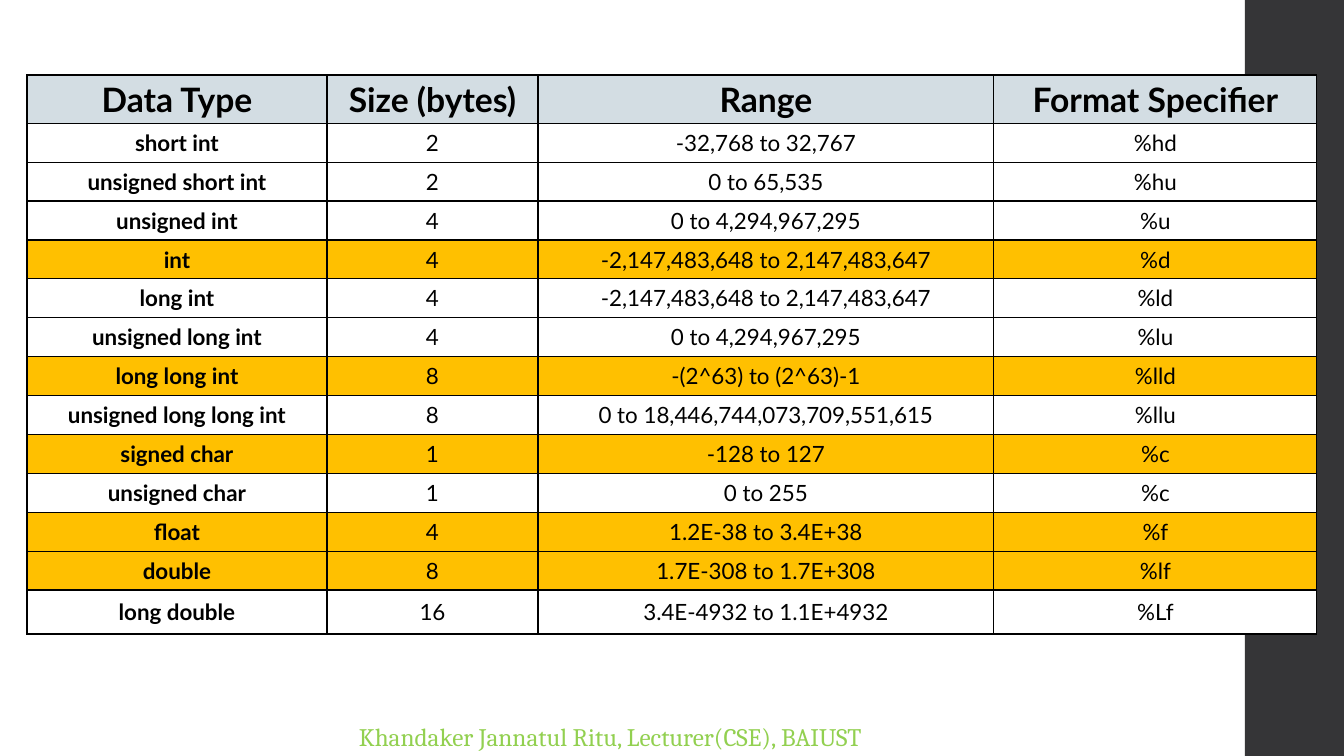
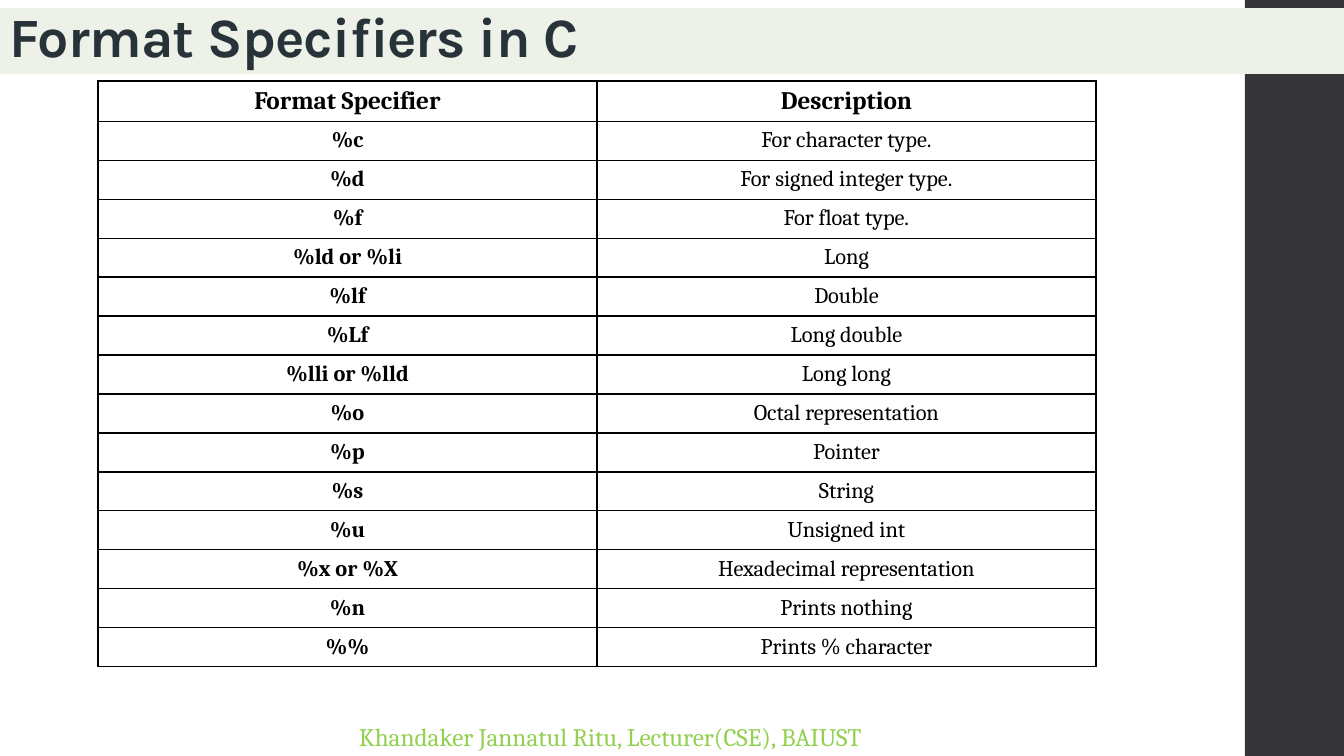
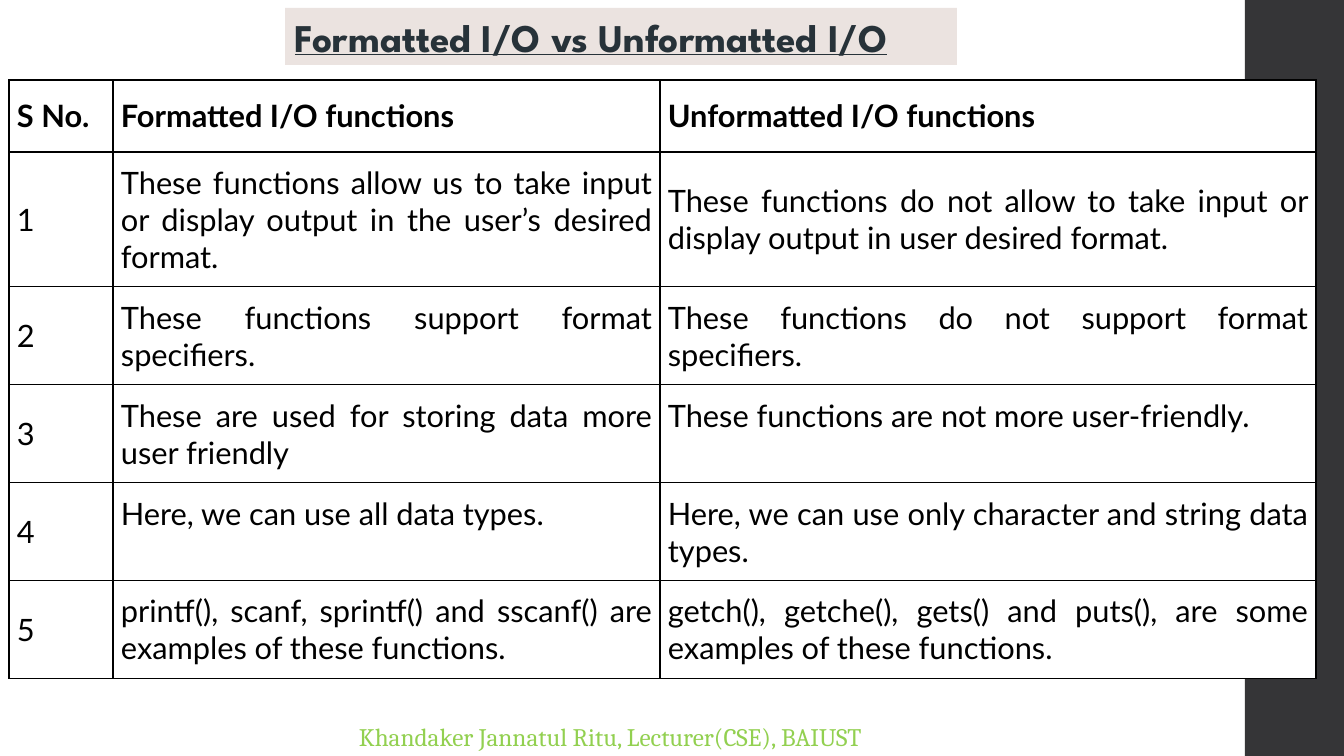
from lxml import etree
from pptx import Presentation
from pptx.dml.color import RGBColor
from pptx.enum.shapes import MSO_SHAPE as Shape
from pptx.enum.text import MSO_ANCHOR as Anchor, PP_ALIGN as Align
from pptx.oxml.ns import qn
from pptx.util import Pt

# Shared scale and style
EMU_PER_PX = 914400 / 100.8
PAGE_W, PAGE_H = 1344, 756
BLACK, WHITE = "000000", "FFFFFF"
BAND, FOOTER_GREEN, TITLE_INK = "353537", "92D050", "273239"
HEADER_BLUE, HIGHLIGHT = "D3DDE3", "FFC000"
FOOTER = "Khandaker Jannatul Ritu, Lecturer(CSE), BAIUST"

DATA_TYPES = [
    ("Data Type", "Size (bytes)", "Range", "Format Specifier"),
    ("short int", "2", "-32,768 to 32,767", "%hd"),
    ("unsigned short int", "2", "0 to 65,535", "%hu"),
    ("unsigned int", "4", "0 to 4,294,967,295", "%u"),
    ("int", "4", "-2,147,483,648 to 2,147,483,647", "%d"),
    ("long int", "4", "-2,147,483,648 to 2,147,483,647", "%ld"),
    ("unsigned long int", "4", "0 to 4,294,967,295", "%lu"),
    ("long long int", "8", "-(2^63) to (2^63)-1", "%lld"),
    ("unsigned long long int", "8", "0 to 18,446,744,073,709,551,615", "%llu"),
    ("signed char", "1", "-128 to 127", "%c"),
    ("unsigned char", "1", "0 to 255", "%c"),
    ("float", "4", "1.2E-38 to 3.4E+38", "%f"),
    ("double", "8", "1.7E-308 to 1.7E+308", "%lf"),
    ("long double", "16", "3.4E-4932 to 1.1E+4932", "%Lf"),
]
COMMON_TYPES = {"int", "long long int", "signed char", "float", "double"}

SPECIFIERS = [
    ("Format Specifier", "Description"),
    ("%c", "For character type."),
    ("%d", "For signed integer type."),
    ("%f", "For float type."),
    ("%ld or %li", "Long"),
    ("%lf", "Double"),
    ("%Lf", "Long double"),
    ("%lli or %lld", "Long long"),
    ("%o", "Octal representation"),
    ("%p", "Pointer"),
    ("%s", "String"),
    ("%u", "Unsigned int"),
    ("%x or %X", "Hexadecimal representation"),
    ("%n", "Prints nothing"),
    ("%%", "Prints % character"),
]

IO_FUNCTIONS = [
    ("S No.", "Formatted I/O functions", "Unformatted I/O functions"),
    ("1", "These functions allow us to take input or display output in the user’s desired format.",
     "These functions do not allow to take input or display output in user desired format."),
    ("2", "These functions support format specifiers.",
     "These functions do not support format specifiers."),
    ("3", "These are used for storing data more user friendly",
     "These functions are not more user-friendly."),
    ("4", "Here, we can use all data types.",
     "Here, we can use only character and string data types."),
    ("5", "printf(), scanf, sprintf() and sscanf() are examples of these functions.",
     "getch(), getche(), gets() and puts(), are some examples of these functions."),
]


def px(*lengths):
    return [round(length * EMU_PER_PX) for length in lengths]


def color(value):
    return RGBColor.from_string(value)


def write(frame, text, font, size, ink, bold=False, align=Align.LEFT):
    """Put one styled paragraph in a text frame and return it."""
    frame.word_wrap = True
    paragraph = frame.paragraphs[0]
    paragraph.text = text
    paragraph.alignment = align
    style = paragraph.runs[0].font
    style.name, style.size, style.bold = font, Pt(size), bold
    style.color.rgb = color(ink)
    return paragraph


def add_block(slide, box, fill):
    block = slide.shapes.add_shape(Shape.RECTANGLE, *px(*box))
    block.shadow.inherit = False
    block.fill.solid()
    block.fill.fore_color.rgb = color(fill)
    block.line.fill.background()
    return block


def add_base(prs):
    """Start a slide with the side band and the footer."""
    slide = prs.slides.add_slide(prs.slide_layouts[6])
    add_block(slide, (1245, 0, PAGE_W - 1245, PAGE_H), BAND)
    footer = slide.shapes.add_textbox(*px(349, 716, 747, 40))
    write(footer.text_frame, FOOTER, "Cambria", 18, FOOTER_GREEN)
    return slide


def add_title(slide, box, fill, text, font, size, anchor):
    frame = add_block(slide, box, fill).text_frame
    frame.vertical_anchor = anchor
    return write(frame, text, font, size, TITLE_INK, bold=True)


def add_borders(cell):
    for side in ("a:lnL", "a:lnR", "a:lnT", "a:lnB"):
        edge = etree.SubElement(cell._tc.get_or_add_tcPr(), qn(side), w=str(Pt(1)))
        paint = etree.SubElement(edge, qn("a:solidFill"))
        etree.SubElement(paint, qn("a:srgbClr"), val=BLACK)


def add_grid(slide, left, top, widths, heights, rows, font, sizes, pads,
             is_bold, fill_of=lambda r, row: WHITE, align=Align.CENTER):
    """Bordered table; sizes and pads are (header, body) pairs."""
    table = slide.shapes.add_table(
        len(rows), len(widths), *px(left, top, sum(widths), sum(heights))).table
    table.first_row = table.horz_banding = False
    for column, width in zip(table.columns, px(*widths)):
        column.width = width
    for table_row, height in zip(table.rows, px(*heights)):
        table_row.height = height
    for r, row in enumerate(rows):
        body = min(r, 1)
        side, end = px(*pads[body])
        for c, text in enumerate(row):
            cell = table.cell(r, c)
            add_borders(cell)
            cell.fill.solid()
            cell.fill.fore_color.rgb = color(fill_of(r, row))
            cell.vertical_anchor = Anchor.MIDDLE
            cell.margin_left = cell.margin_right = side
            cell.margin_top = cell.margin_bottom = end
            write(cell.text_frame, text, font, sizes[body], BLACK, is_bold(r, c), align)
    return table


def header_or_first_column(r, c):
    return r == 0 or c == 0


def data_type_fill(r, row):
    if r == 0:
        return HEADER_BLUE
    return HIGHLIGHT if row[0] in COMMON_TYPES else WHITE


def data_types_slide(prs):
    slide = add_base(prs)
    add_grid(slide, 27, 75, [300, 211, 456, 323], [48] + [38] * 12 + [44],
             DATA_TYPES, "Lato", (24, 16), ((4, 4), (4, 6)),
             header_or_first_column, data_type_fill)


def specifiers_slide(prs):
    slide = add_base(prs)
    title = add_title(slide, (0, 8, PAGE_W, 66), "EDF1E7",
                      "Format Specifiers in C", "Karla", 39.6, Anchor.BOTTOM)
    title.line_spacing = 0.9
    title.runs[0].font._element.set("spc", "-50")
    add_grid(slide, 98, 81, [499, 499], [39] * len(SPECIFIERS),
             SPECIFIERS, "Cambria", (18, 16), ((5, 5), (5, 6)),
             header_or_first_column)


def io_functions_slide(prs):
    slide = add_base(prs)
    table = add_grid(slide, 9, 80, [104, 547, 656], [72, 134] + [97] * 4,
                     IO_FUNCTIONS, "Lato", (22, 22), ((8, 12), (8, 12)),
                     lambda r, c: r == 0, align=Align.JUSTIFY)
    # One-line answers beside two-line ones start at the top
    for r, c in ((3, 2), (4, 1)):
        table.cell(r, c).vertical_anchor = Anchor.TOP
    title = add_title(slide, (285, 8, 672, 57), "EBE3E0",
                      "Formatted I/O vs Unformatted I/O", "League Spartan", 28, Anchor.TOP)
    title.runs[0].font.underline = True


def main():
    prs = Presentation()
    prs.slide_width, prs.slide_height = px(PAGE_W, PAGE_H)
    data_types_slide(prs)
    specifiers_slide(prs)
    io_functions_slide(prs)
    prs.save("out.pptx")


if __name__ == "__main__":
    main()
